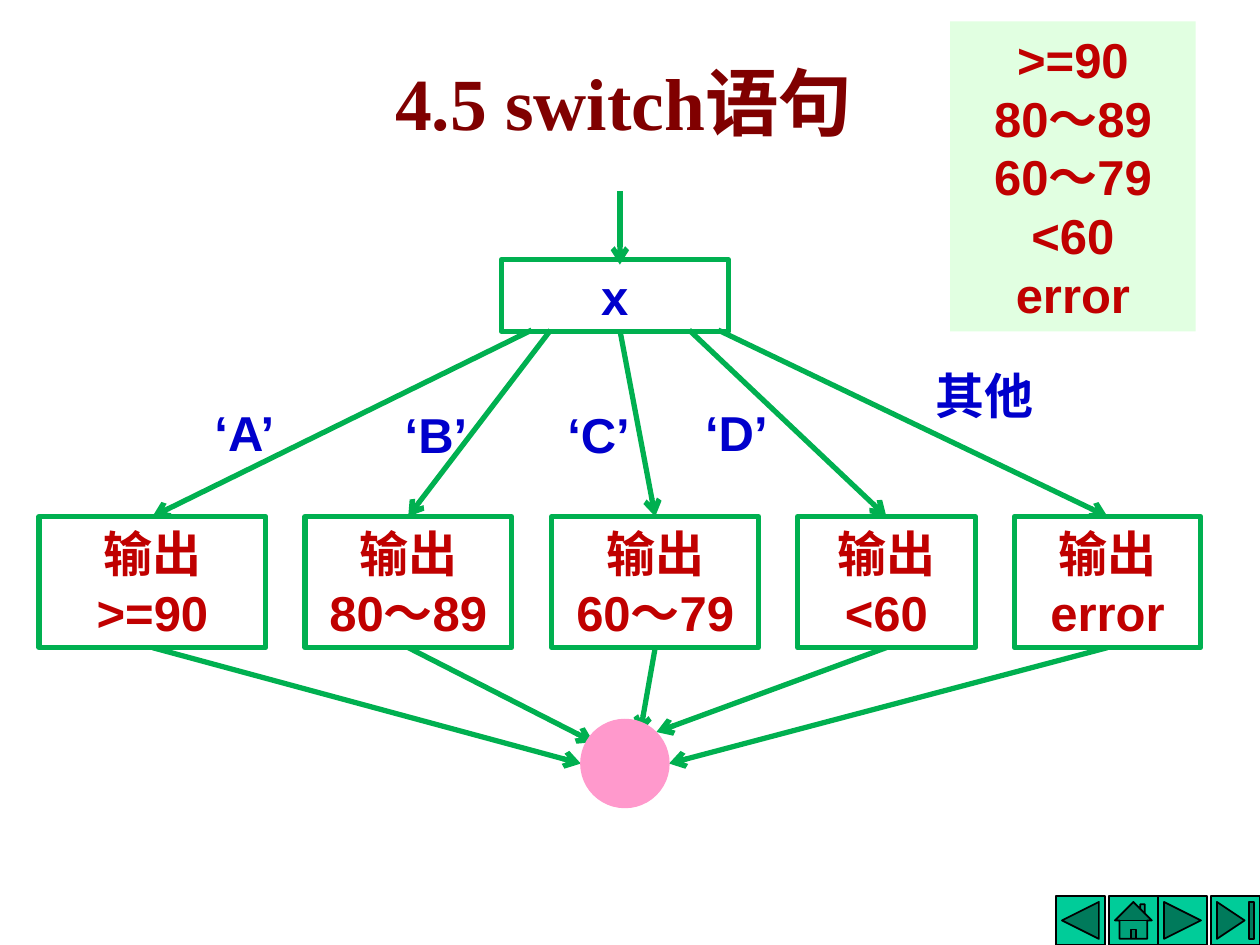
from dataclasses import dataclass

from lxml.etree import SubElement
from pptx import Presentation
from pptx.dml.color import RGBColor
from pptx.enum.shapes import MSO_CONNECTOR, MSO_SHAPE
from pptx.enum.text import MSO_ANCHOR, MSO_AUTO_SIZE, PP_ALIGN
from pptx.oxml.ns import qn
from pptx.util import Inches, Pt

GREEN = RGBColor(0x00, 0xB0, 0x50)
BLUE = RGBColor(0x00, 0x00, 0xCC)
RED = RGBColor(0xC0, 0x00, 0x00)
MAROON = RGBColor(0x80, 0x00, 0x00)
PINK = RGBColor(0xFF, 0x99, 0xCC)
MINT = RGBColor(0xE1, 0xFF, 0xE1)
TEAL = RGBColor(0x00, 0xCC, 0x99)
BLACK = RGBColor(0x00, 0x00, 0x00)

Point = tuple[float, float]
Area = tuple[float, float, float, float]


@dataclass
class Branch:
    left: float
    width: float
    result: str
    case: str
    tag: Area       # place of the case label
    start: float    # x where the arrow leaves the test box
    tip: Point      # where the arrow meets the circle

    @property
    def mid(self) -> float:
        return self.left + self.width / 2


BRANCHES = [
    Branch(0.31, 1.8, ">=90", "‘A’", (1.46, 3.14, 0.96, 0.57), 4.22, (4.61, 6.06)),
    Branch(2.42, 1.64, "80～89", "‘B’", (2.94, 3.16, 1.04, 0.57), 4.37, (4.71, 5.89)),
    Branch(4.38, 1.64, "60～79", "‘C’", (4.19, 3.16, 1.12, 0.57), 4.92, (5.08, 5.82)),
    Branch(6.33, 1.41, "<60", "‘D’", (5.31, 3.14, 1.07, 0.57), 5.47, (5.21, 5.81)),
    Branch(8.05, 1.48, "error", "其他", (7.19, 2.85, 1.25, 0.57), 5.7, (5.31, 6.06)),
]
BUTTONS = [
    (MSO_SHAPE.ACTION_BUTTON_BACK_OR_PREVIOUS, 8.38),
    (MSO_SHAPE.ACTION_BUTTON_HOME, 8.8),
    (MSO_SHAPE.ACTION_BUTTON_FORWARD_OR_NEXT, 9.19),
    (MSO_SHAPE.ACTION_BUTTON_END, 9.61),
]
TEST_END, TOP, HIGH = 2.62, 4.1, 1.04


def write(shape, text: str, color: RGBColor, size: int = 28, face: str = "Arial") -> None:
    frame = shape.text_frame
    frame.text = text
    frame.word_wrap = True
    frame.auto_size = MSO_AUTO_SIZE.NONE
    frame.vertical_anchor = MSO_ANCHOR.MIDDLE
    frame.margin_left = frame.margin_right = Inches(0.05)
    for para in frame.paragraphs:
        para.alignment = PP_ALIGN.CENTER
        for run in para.runs:
            run.font.name = face
            run.font.size = Pt(size)
            run.font.bold = True
            run.font.color.rgb = color


def draw(slide, kind, area: Area, fill: RGBColor | None = None,
         line: RGBColor | None = None, width: float = 3):
    shape = slide.shapes.add_shape(kind, *map(Inches, area))
    shape.shadow.inherit = False
    if fill is None:
        shape.fill.background()
    else:
        shape.fill.solid()
        shape.fill.fore_color.rgb = fill
    if line is None:
        shape.line.fill.background()
    else:
        shape.line.color.rgb = line
        shape.line.width = Pt(width)
    return shape


def arrow(slide, start: Point, end: Point) -> None:
    link = slide.shapes.add_connector(
        MSO_CONNECTOR.STRAIGHT, *map(Inches, start + end))
    link.line.color.rgb = GREEN
    link.line.width = Pt(3)
    SubElement(link.line._get_or_add_ln(), qn("a:tailEnd"), type="arrow")
    SubElement(link._element.spPr, qn("a:effectLst"))


def main() -> None:
    deck = Presentation()
    deck.slide_width, deck.slide_height = Inches(10), Inches(7.5)
    slide = deck.slides.add_slide(deck.slide_layouts[5])

    # Title
    title = slide.shapes.title
    title.left, title.top, title.width, title.height = map(
        Inches, (0.83, 0.01, 8.24, 1.58))
    write(title, "4.5 switch语句", MAROON, 42, "Times New Roman")

    # Navigation buttons
    for kind, left in BUTTONS:
        draw(slide, kind, (left, 7.11, 0.39, 0.39), TEAL, BLACK, 1)

    # Tested value
    arrow(slide, (4.92, 1.52), (4.92, 2.1))
    test = draw(slide, MSO_SHAPE.RECTANGLE, (3.98, 2.06, 1.8, 0.57), line=GREEN)
    write(test, "x", BLUE)

    # Branches
    for item in BRANCHES:
        box = draw(slide, MSO_SHAPE.RECTANGLE,
                   (item.left, TOP, item.width, HIGH), line=GREEN)
        write(box, f"输出\n{item.result}", RED)
        arrow(slide, (item.start, TEST_END), (item.mid, TOP))
        arrow(slide, (item.mid, TOP + HIGH), item.tip)
        write(slide.shapes.add_textbox(*map(Inches, item.tag)), item.case, BLUE)

    # Meeting point
    draw(slide, MSO_SHAPE.OVAL, (4.61, 5.71, 0.7, 0.7), PINK, PINK, 0.75)

    # List of results
    panel = draw(slide, MSO_SHAPE.RECTANGLE, (7.54, 0.17, 1.95, 2.46), MINT)
    write(panel, "\n".join(item.result for item in BRANCHES), RED)

    deck.save("out.pptx")


if __name__ == "__main__":
    main()
